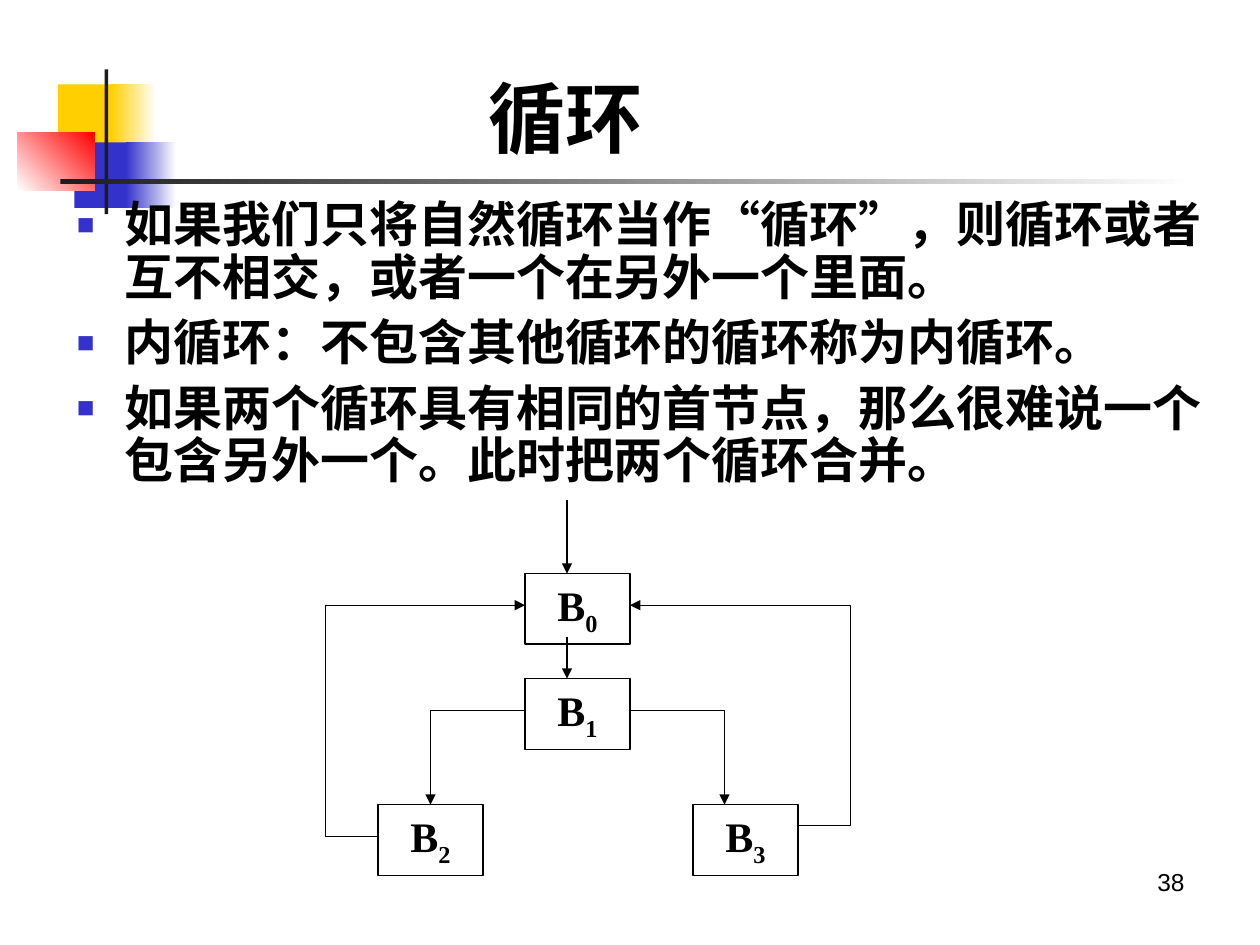
from lxml import etree
from pptx import Presentation, util as u
from pptx.dml.color import RGBColor
from pptx.enum import lang, shapes, text
from pptx.oxml.ns import qn

BLACK = RGBColor(0x00, 0x00, 0x00)
WHITE = RGBColor(0xFF, 0xFF, 0xFF)
YELLOW = RGBColor(0xFF, 0xCF, 0x01)
BLUE = RGBColor(0x33, 0x33, 0xCC)
RED = RGBColor(0xFF, 0x00, 0x00)
DARK = RGBColor(0x1C, 0x1C, 0x1C)

# The flow graph sits on a grid of twelve cells to the inch
CELL = 1 / 12
GRAPH_TOP = 3.97
BOX_WIDTH, BOX_HEIGHT = 10 * CELL, 0.56

TITLE_FONT = {"name": "Times New Roman", "size": u.Pt(44), "bold": True}
BODY_FONT = {"name": "Arial", "size": u.Pt(28), "bold": True}
NODE_FONT = {"name": "Times New Roman", "size": u.Pt(24), "bold": True}
NUMBER_FONT = {"name": "Arial", "size": u.Pt(14)}
BULLET_FORMAT = {"line_spacing": 0.9, "space_before": u.Pt(7),
                 "space_after": u.Pt(0), "alignment": text.PP_ALIGN.LEFT}

BULLETS = [
    "如果我们只将自然循环当作“循环”，则循环或者互不相交，或者一个在另外一个里面。",
    "内循环：不包含其他循环的循环称为内循环。",
    "如果两个循环具有相同的首节点，那么很难说一个包含另外一个。此时把两个循环合并。",
]

# Left, top, width, height in inches, then one colour or a gradient with its angle
ORNAMENTS = [
    ((0.46, 0.67, 0.48, 0.52), YELLOW, None, 0),
    ((0.88, 0.67, 0.36, 0.52), YELLOW, WHITE, 0),
    ((0.59, 1.13, 0.46, 0.52), BLUE, None, 0),
    ((1, 1.13, 0.4, 0.52), BLUE, WHITE, 0),
    ((0.14, 1.05, 0.61, 0.46), WHITE, RED, 45),
    ((0.83, 0.55, 0.03, 1.15), DARK, None, 0),
    ((0.48, 1.42, 9, 0.04), DARK, WHITE, 0),
]

# Subscript, column and row of each node
NODES = [("0", 50, 7), ("1", 50, 17), ("2", 36, 29), ("3", 66, 29)]
STRAIGHT_EDGES = [((54, 0), (54, 7)), ((54, 13), (54, 17))]
BENT_EDGES = [
    [(50, 20), (41, 20), (41, 29)],
    [(60, 20), (69, 20), (69, 29)],
    [(36, 32), (31, 32), (31, 10), (50, 10)],
    [(76, 31), (81, 31), (81, 10), (60, 10)],
]


def apply_format(target, values):
    for name, value in values.items():
        setattr(target, name, value)


def inches(*lengths):
    return [u.Inches(length) for length in lengths]


def grid_point(column, row):
    return inches(column * CELL, GRAPH_TOP + row * CELL)


def add_run(paragraph, words, font):
    run = paragraph.add_run()
    run.text = words
    apply_format(run.font, font)
    run.font.color.rgb = BLACK
    return run


def add_ornament(slide, place, first, last, angle):
    shape = slide.shapes.add_shape(shapes.MSO_SHAPE.RECTANGLE, *inches(*place))
    shape.shadow.inherit = False
    shape.line.fill.background()
    if last is None:
        shape.fill.solid()
        shape.fill.fore_color.rgb = first
        return
    shape.fill.gradient()
    shape.fill.gradient_angle = angle
    for stop, color, position in zip(shape.fill.gradient_stops, (first, last), (0, 1)):
        stop.color.rgb = color
        stop.position = position


def place_text(placeholder, place, anchor):
    # Bring the text in front of the ornaments
    placeholder.element.getparent().append(placeholder.element)
    apply_format(placeholder, dict(zip(("left", "top", "width", "height"), inches(*place))))
    apply_format(placeholder.text_frame, {"word_wrap": True, "vertical_anchor": anchor,
                                          "auto_size": text.MSO_AUTO_SIZE.NONE})
    return placeholder.text_frame


def add_square_bullet(paragraph):
    properties = paragraph._p.get_or_add_pPr()
    indent = u.Inches(0.38)
    properties.set("marL", str(indent))
    properties.set("indent", str(-indent))
    color = etree.SubElement(properties, qn("a:buClr"))
    etree.SubElement(color, qn("a:srgbClr"), val=str(BLUE))
    etree.SubElement(properties, qn("a:buSzPct"), val="60000")
    etree.SubElement(properties, qn("a:buFont"), typeface="Arial")
    etree.SubElement(properties, qn("a:buChar"), char="■")


def add_bullets(frame):
    for index, words in enumerate(BULLETS):
        paragraph = frame.paragraphs[0] if index == 0 else frame.add_paragraph()
        apply_format(paragraph, BULLET_FORMAT)
        add_square_bullet(paragraph)
        run = add_run(paragraph, words, BODY_FONT)
        run.font.language_id = lang.MSO_LANGUAGE_ID.SIMPLIFIED_CHINESE


def style_line(shape):
    shape.line.color.rgb = BLACK
    shape.line.width = u.Pt(0.75)


def add_arrowhead(shape):
    etree.SubElement(shape.line._get_or_add_ln(), qn("a:tailEnd"), type="triangle")


def add_node(slide, subscript, column, row):
    shape = slide.shapes.add_shape(shapes.MSO_SHAPE.RECTANGLE, *grid_point(column, row),
                                   *inches(BOX_WIDTH, BOX_HEIGHT))
    shape.shadow.inherit = False
    shape.fill.background()
    style_line(shape)
    frame = shape.text_frame
    apply_format(frame, {"word_wrap": True, "vertical_anchor": text.MSO_ANCHOR.TOP,
                         "auto_size": text.MSO_AUTO_SIZE.SHAPE_TO_FIT_TEXT})
    paragraph = frame.paragraphs[0]
    apply_format(paragraph, {"alignment": text.PP_ALIGN.CENTER, "space_before": u.Pt(15)})
    add_run(paragraph, "B", NODE_FONT)
    lowered = add_run(paragraph, subscript, NODE_FONT)
    lowered.font._element.set("baseline", "-25000")


def add_straight_edge(slide, start, end):
    connector = slide.shapes.add_connector(shapes.MSO_CONNECTOR.STRAIGHT,
                                           *grid_point(*start), *grid_point(*end))
    style_line(connector)
    add_arrowhead(connector)
    etree.SubElement(connector.element.spPr, qn("a:effectLst"))


def add_bent_edge(slide, corners):
    start, *others = [grid_point(*corner) for corner in corners]
    builder = slide.shapes.build_freeform(*start)
    builder.add_line_segments(others, close=False)
    shape = builder.convert_to_shape()
    shape.shadow.inherit = False
    shape.fill.background()
    style_line(shape)
    add_arrowhead(shape)


def add_slide_number(slide, number):
    box = slide.shapes.add_textbox(*inches(7.17, 6.83, 2.33, 0.52))
    box.text_frame.word_wrap = True
    paragraph = box.text_frame.paragraphs[0]
    paragraph.alignment = text.PP_ALIGN.RIGHT
    add_run(paragraph, number, NUMBER_FONT)


def main():
    presentation = Presentation()
    presentation.slide_width, presentation.slide_height = inches(10, 7.5)
    slide = presentation.slides.add_slide(presentation.slide_layouts[1])

    # Ornaments and slide number
    for ornament in ORNAMENTS:
        add_ornament(slide, *ornament)
    add_slide_number(slide, "38")

    # Title and list
    title = place_text(slide.shapes.title, (3.78, 0.55, 1.46, 0.76), text.MSO_ANCHOR.MIDDLE)
    title.paragraphs[0].alignment = text.PP_ALIGN.LEFT
    add_run(title.paragraphs[0], "循环", TITLE_FONT)
    add_bullets(place_text(slide.placeholders[1], (0.51, 1.54, 9.28, 2.52),
                           text.MSO_ANCHOR.TOP))

    # Flow graph
    for node in NODES:
        add_node(slide, *node)
    for edge in STRAIGHT_EDGES:
        add_straight_edge(slide, *edge)
    for corners in BENT_EDGES:
        add_bent_edge(slide, corners)

    presentation.save("out.pptx")


if __name__ == "__main__":
    main()
